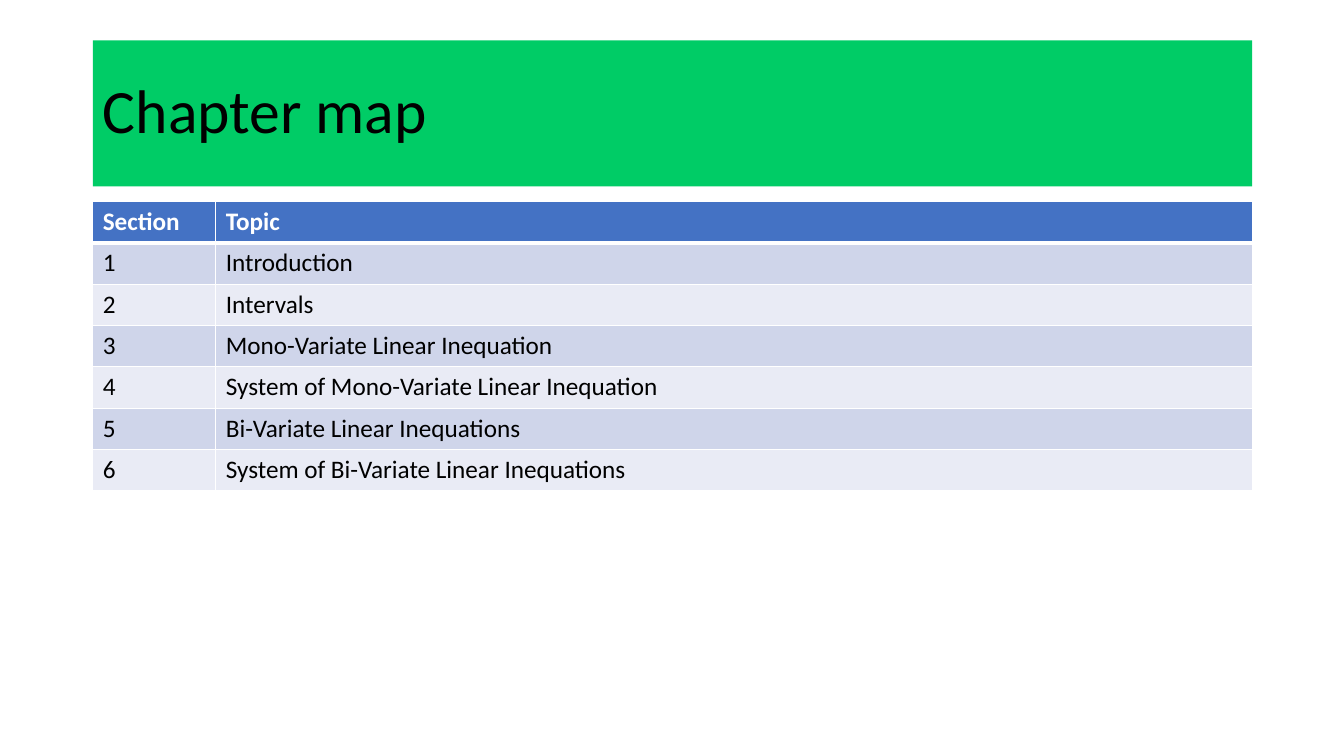
"""Build the chapter map slide."""
from lxml.etree import SubElement
from pptx import Presentation
from pptx.dml.color import RGBColor
from pptx.enum.text import MSO_ANCHOR, PP_ALIGN
from pptx.oxml.ns import qn
from pptx.util import Inches, Pt

COLORS = {
    "title_fill": "00CC66",
    "header": "4472C4",
    "odd_row": "CFD5EA",
    "even_row": "E9EBF5",
    "white": "FFFFFF",
    "black": "000000",
}
TOPICS = [
    "Introduction",
    "Intervals",
    "Mono-Variate Linear Inequation",
    "System of Mono-Variate Linear Inequation",
    "Bi-Variate Linear Inequations",
    "System of Bi-Variate Linear Inequations",
]
LEFT, WIDTH = 0.92, 11.5


class SlideBuilder:
    """Hold the style and the current slide."""

    font_name = "Calibri"

    def __init__(self, presentation):
        """Add a title-only slide."""
        self.slide = presentation.slides.add_slide(presentation.slide_layouts[5])

    def fill(self, target, color):
        """Give a shape or cell a solid fill."""
        target.fill.solid()
        target.fill.fore_color.rgb = RGBColor.from_string(COLORS[color])

    def set_text(self, text_frame, text, size, color, bold=False):
        """Set and format one left-aligned paragraph."""
        text_frame.text = text
        paragraph = text_frame.paragraphs[0]
        paragraph.alignment = PP_ALIGN.LEFT
        font = paragraph.runs[0].font
        font.name, font.size, font.bold = self.font_name, Pt(size), bold
        font.color.rgb = RGBColor.from_string(COLORS[color])
        return paragraph

    def title(self, text, top, height):
        """Place the title on its coloured band."""
        shape = self.slide.shapes.title
        shape.left, shape.top = Inches(LEFT), Inches(top)
        shape.width, shape.height = Inches(WIDTH), Inches(height)
        self.fill(shape, "title_fill")
        shape.text_frame.vertical_anchor = MSO_ANCHOR.MIDDLE
        self.set_text(shape.text_frame, text, 44, "black").line_spacing = 0.9

    def borders(self, cell, top, bottom):
        """Draw white cell borders, with top and bottom widths in points."""
        properties = cell._tc.get_or_add_tcPr()
        for side, width in (("L", 1), ("R", 1), ("T", top), ("B", bottom)):
            line = SubElement(properties, qn(f"a:ln{side}"), w=str(Pt(width)))
            solid = SubElement(line, qn("a:solidFill"))
            SubElement(solid, qn("a:srgbClr"), val=COLORS["white"])

    def table(self, rows, top, row_height, column_widths):
        """Add a table with a header row and banded body rows."""
        frame = self.slide.shapes.add_table(
            len(rows), len(column_widths), Inches(LEFT), Inches(top),
            Inches(sum(column_widths)), Inches(row_height * len(rows)))
        table = frame.table
        for column, width in zip(table.columns, column_widths):
            column.width = Inches(width)
        for row_index, row in enumerate(rows):
            header = row_index == 0
            band = "header" if header else "odd_row" if row_index % 2 else "even_row"
            for column_index, text in enumerate(row):
                cell = table.cell(row_index, column_index)
                self.borders(cell, 3 if row_index == 1 else 1, 3 if header else 1)
                self.fill(cell, band)
                self.set_text(cell.text_frame, text, 18,
                              "white" if header else "black", header)


presentation = Presentation()
presentation.slide_width = Inches(13.33)
presentation.slide_height = Inches(7.5)
builder = SlideBuilder(presentation)
builder.title("Chapter map", 0.4, 1.45)
sections = [(str(number), topic) for number, topic in enumerate(TOPICS, 1)]
builder.table([("Section", "Topic")] + sections, 2, 0.41, (1.22, 10.28))
presentation.save("out.pptx")
